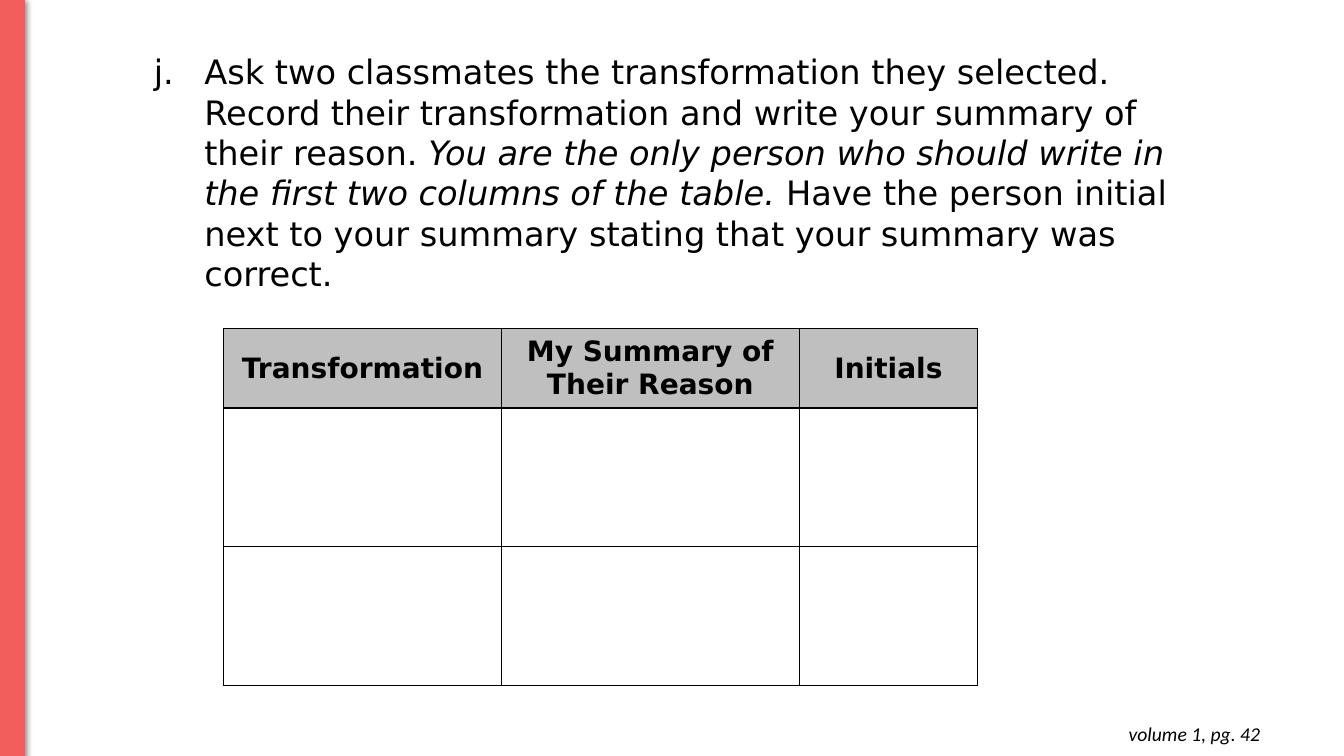
from dataclasses import dataclass

from lxml.etree import SubElement
from pptx import Presentation
from pptx.dml.color import RGBColor
from pptx.enum.shapes import MSO_SHAPE
from pptx.enum.text import MSO_ANCHOR, MSO_AUTO_SIZE, PP_ALIGN
from pptx.oxml.ns import qn
from pptx.util import Cm, Pt


@dataclass(frozen=True)
class Theme:
    ink: str = "000000"
    accent: str = "F25E5B"
    header_fill: str = "BFBFBF"
    body_font: str = "DejaVu Sans"
    note_font: str = "Calibri"
    body_size: int = 24
    header_size: int = 20
    note_size: int = 14


def add_element(parent, tag, **attributes):
    return SubElement(parent, qn(tag), {name: str(value) for name, value in attributes.items()})


def add_text(paragraph, text, font, size, color, bold=False, italic=False):
    run = paragraph.add_run()
    run.text = text
    run.font.name = font
    run.font.size = Pt(size)
    run.font.bold = bold
    run.font.italic = italic
    run.font.color.rgb = RGBColor.from_string(color)


def number_paragraph(paragraph, start, color):
    """Give the paragraph a hanging letter such as "j."."""
    properties = paragraph._p.get_or_add_pPr()
    properties.set("marL", str(Cm(2.54)))
    properties.set("indent", str(-Cm(1.27)))
    bullet_color = add_element(properties, "a:buClr")
    add_element(bullet_color, "a:srgbClr", val=color)
    add_element(properties, "a:buAutoNum", type="alphaLcPeriod", startAt=start)


class SlideBuilder:
    def __init__(self, slide, theme):
        self.slide = slide
        self.theme = theme

    def text_box(self, left, top, width, height, margin=None):
        """Add a wrapping box and return its first paragraph."""
        box = self.slide.shapes.add_textbox(Cm(left), Cm(top), Cm(width), Cm(height))
        frame = box.text_frame
        frame.word_wrap = True
        frame.auto_size = MSO_AUTO_SIZE.SHAPE_TO_FIT_TEXT
        if margin is not None:
            frame.margin_left = frame.margin_right = Cm(margin)
            frame.margin_top = frame.margin_bottom = Cm(margin)
        return frame.paragraphs[0]

    def page_note(self, text):
        theme = self.theme
        paragraph = self.text_box(24.69, 17.93, 7.32, 1.12, margin=0.25)
        paragraph.alignment = PP_ALIGN.RIGHT
        add_text(paragraph, text, theme.note_font, theme.note_size, theme.ink, italic=True)

    def instruction(self, parts, start):
        """Write a lettered instruction from (text, italic) parts."""
        theme = self.theme
        paragraph = self.text_box(2.36, 1.17, 28.55, 6.4)
        number_paragraph(paragraph, start, theme.ink)
        for text, italic in parts:
            add_text(paragraph, text, theme.body_font, theme.body_size, theme.ink, italic=italic)

    def side_bar(self):
        theme = self.theme
        bar = self.slide.shapes.add_shape(MSO_SHAPE.RECTANGLE, 0, Cm(-0.02), Cm(0.62), Cm(19.08))
        bar.fill.solid()
        bar.fill.fore_color.rgb = RGBColor.from_string(theme.accent)
        bar.line.color.rgb = RGBColor.from_string(theme.accent)
        bar.line.width = Pt(0.75)
        bar.shadow.inherit = False
        effects = bar._element.spPr.find(qn("a:effectLst"))
        shadow = add_element(effects, "a:outerShdw", blurRad=Pt(4.5), dist=Pt(1.5),
                             dir=90 * 60000, rotWithShape=0)
        shadow_color = add_element(shadow, "a:srgbClr", val=theme.ink)
        add_element(shadow_color, "a:alpha", val=50000)

    def border_cell(self, cell):
        properties = cell._tc.get_or_add_tcPr()
        for side in ("L", "R", "T", "B"):
            line = add_element(properties, f"a:ln{side}", w=Pt(1))
            fill = add_element(line, "a:solidFill")
            add_element(fill, "a:srgbClr", val=self.theme.ink)

    def answer_table(self, headers, widths, heights):
        theme = self.theme
        table = self.slide.shapes.add_table(
            len(heights), len(widths), Cm(5.63), Cm(8.28), Cm(sum(widths)), Cm(sum(heights))).table
        table.first_row = table.horz_banding = False
        for column, width in zip(table.columns, widths):
            column.width = Cm(width)
        for row, height in zip(table.rows, heights):
            row.height = Cm(height)
        for cell in table.iter_cells():
            self.border_cell(cell)
            cell.fill.background()
        for cell, header in zip(table.rows[0].cells, headers):
            cell.fill.solid()
            cell.fill.fore_color.rgb = RGBColor.from_string(theme.header_fill)
            cell.vertical_anchor = MSO_ANCHOR.MIDDLE
            paragraph = cell.text_frame.paragraphs[0]
            paragraph.alignment = PP_ALIGN.CENTER
            add_text(paragraph, header, theme.body_font, theme.header_size, theme.ink, bold=True)


def main():
    presentation = Presentation()
    presentation.slide_width = Cm(33.87)
    presentation.slide_height = Cm(19.05)
    slide = presentation.slides.add_slide(presentation.slide_layouts.get_by_name("Blank"))
    builder = SlideBuilder(slide, Theme())
    builder.page_note("volume 1, pg. 42")
    builder.instruction([
        ("Ask two classmates the transformation they selected. Record their transformation "
         "and write your summary of their reason. ", False),
        ("You are the only person who should write in the first two columns of the table.", True),
        (" Have the person initial next to your summary stating that your summary was correct.",
         False),
    ], start=10)
    builder.side_bar()
    builder.answer_table(
        headers=["Transformation", "My Summary of Their Reason", "Initials"],
        widths=[7.01, 7.5, 4.5],
        heights=[2, 3.5, 3.5])
    presentation.save("out.pptx")


if __name__ == "__main__":
    main()
